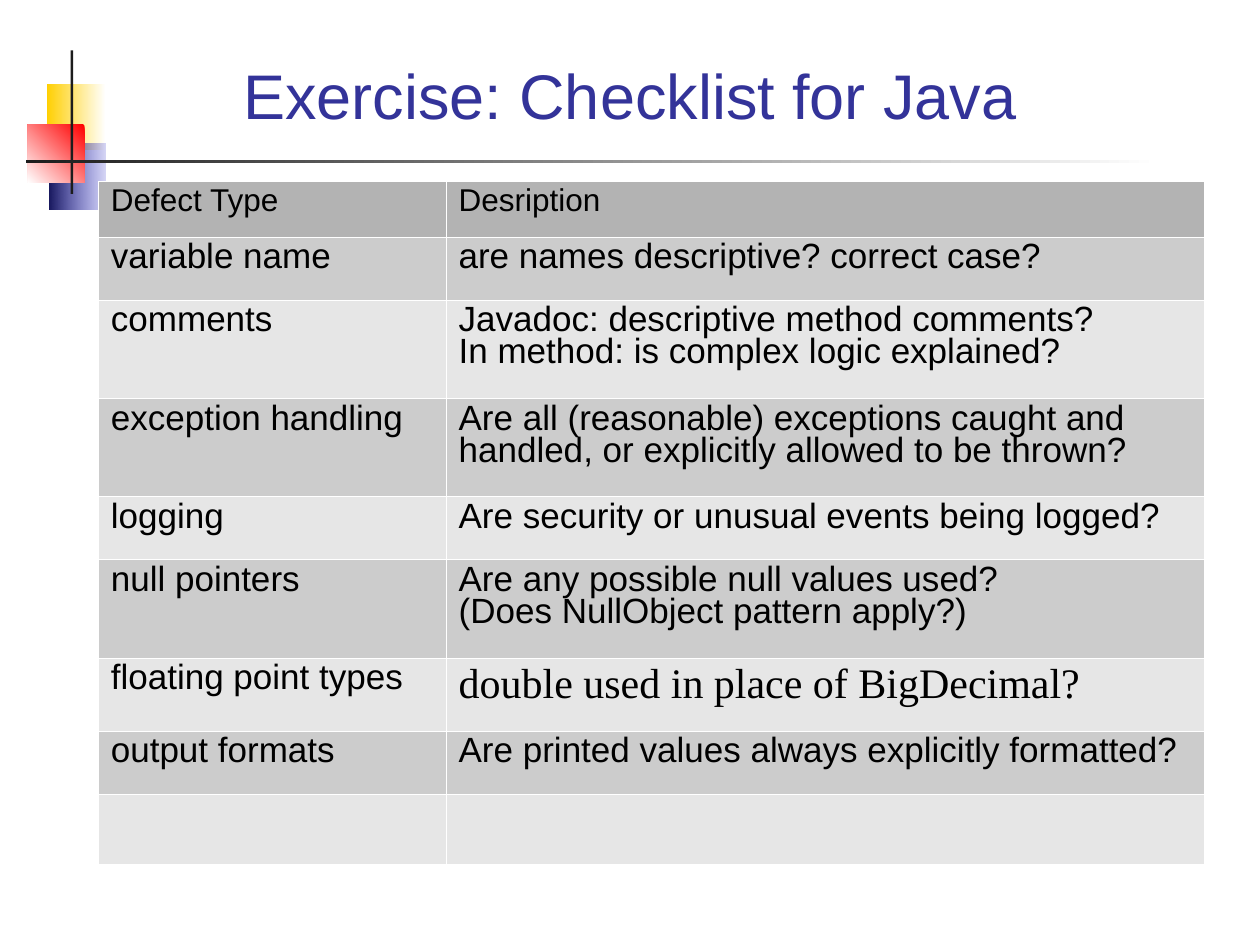
import pptx
import pptx.util
import pptx.dml.color
import pptx.enum.shapes
import pptx.enum.text
import pptx.oxml
import pptx.oxml.ns
from lxml import etree

Inch, Pt = pptx.util.Inches, pptx.util.Pt
WIDE, HIGH = 10, 7.5
TITLE = "Exercise: Checklist for Java"
ROWS = [
    (0.44, "Defect Type", "Desription"),
    (0.5, "variable name", "are names descriptive? correct case?"),
    (0.78, "comments", "Javadoc: descriptive method comments?\nIn method: is complex logic explained?"),
    (0.78, "exception handling", "Are all (reasonable) exceptions caught and handled, or explicitly allowed to be thrown?"),
    (0.5, "logging", "Are security or unusual events being logged?"),
    (0.78, "null pointers", "Are any possible null values used?\n(Does NullObject pattern apply?)"),
    (0.58, "floating point types", "double used in place of BigDecimal?"),
    (0.5, "output formats", "Are printed values always explicitly formatted?"),
    (0.56, "", ""),
]
COLS = (2.76, 6.02)
HEAD, BANDS = "B3B3B3", ("E6E6E6", "CCCCCC")
BODY = ("Arial", 20, 0.82)
STYLES = {(0, 0): ("Arial", 18, 0.84), (0, 1): ("Arial", 18, 0.84),
          (6, 1): ("Times New Roman", 24, 0.93)}
DECOR = [
    ((0.37, 0.67, 0.47, 0.52), ("FFFFFF", "FFCF01"), 180, 100),
    ((0.39, 1.14, 0.45, 0.52), ("3333CC", "17175E"), 180, 20),
    ((0.22, 0.99, 0.45, 0.46), ("FF0000", "FFFFFF"), 225, 100),
    ((0.56, 0.4, 0.02, 1.14), ("1C1C1C",), 0, 100),
    ((0.21, 1.27, 8.99, 0.02), ("FFFFFF", "1C1C1C"), 180, 100),
]


def tint(code):
    return pptx.dml.color.RGBColor.from_string(code)


def style(para, font, size, code):
    for run in para.runs:
        run.font.name, run.font.size = font, Pt(size)
        run.font.color.rgb = tint(code)


def block(slide, box, codes, angle, alpha):
    kind = pptx.enum.shapes.MSO_SHAPE.RECTANGLE
    shape = slide.shapes.add_shape(kind, *map(Inch, box))
    shape.shadow.inherit = False
    shape.line.fill.background()
    if len(codes) == 1:
        shape.fill.solid()
        shape.fill.fore_color.rgb = tint(codes[0])
        return
    shape.fill.gradient()
    shape.fill.gradient_angle = angle
    for stop, code in zip(shape.fill.gradient_stops, codes):
        stop.color.rgb = tint(code)
    if alpha < 100:
        first = next(shape.element.iter(pptx.oxml.ns.qn("a:srgbClr")))
        etree.SubElement(first, pptx.oxml.ns.qn("a:alpha"), val=str(alpha * 1000))


def edge(cell):
    props = cell._tc.get_or_add_tcPr()
    for spot, side in enumerate("LRTB"):
        props.insert(spot, pptx.oxml.parse_xml(
            f'<a:ln{side} {pptx.oxml.ns.nsdecls("a")} w="{Pt(0.06)}"><a:solidFill>'
            f'<a:srgbClr val="FFFFFF"/></a:solidFill></a:ln{side}>'))


def grid(slide):
    tall = sum(row[0] for row in ROWS)
    frame = slide.shapes.add_table(len(ROWS), len(COLS), Inch(0.78), Inch(1.44),
                                   Inch(sum(COLS)), Inch(tall))
    table = frame.table
    table.first_row = table.horz_banding = False
    for col, width in zip(table.columns, COLS):
        col.width = Inch(width)
    for r, (height, *texts) in enumerate(ROWS):
        table.rows[r].height = Inch(height)
        for c, text in enumerate(texts):
            cell = table.cell(r, c)
            cell.fill.solid()
            cell.fill.fore_color.rgb = tint(BANDS[r % 2] if r else HEAD)
            edge(cell)
            font, size, gap = STYLES.get((r, c), BODY)
            para = cell.text_frame.paragraphs[0]
            para.text = text
            para.line_spacing = gap
            style(para, font, size, "000000")


def main():
    deck = pptx.Presentation()
    deck.slide_width, deck.slide_height = Inch(WIDE), Inch(HIGH)
    slide = deck.slides.add_slide(deck.slide_layouts[5])
    for item in DECOR:
        block(slide, *item)
    title = slide.shapes.title
    title.left, title.top, title.width, title.height = map(Inch, (0.67, 0.28, 8.66, 0.94))
    title.text_frame.text = TITLE
    title.text_frame.vertical_anchor = pptx.enum.text.MSO_ANCHOR.MIDDLE
    para = title.text_frame.paragraphs[0]
    para.alignment = pptx.enum.text.PP_ALIGN.CENTER
    style(para, "Arial", 36, "333399")
    grid(slide)
    deck.save("out.pptx")


if __name__ == "__main__":
    main()
